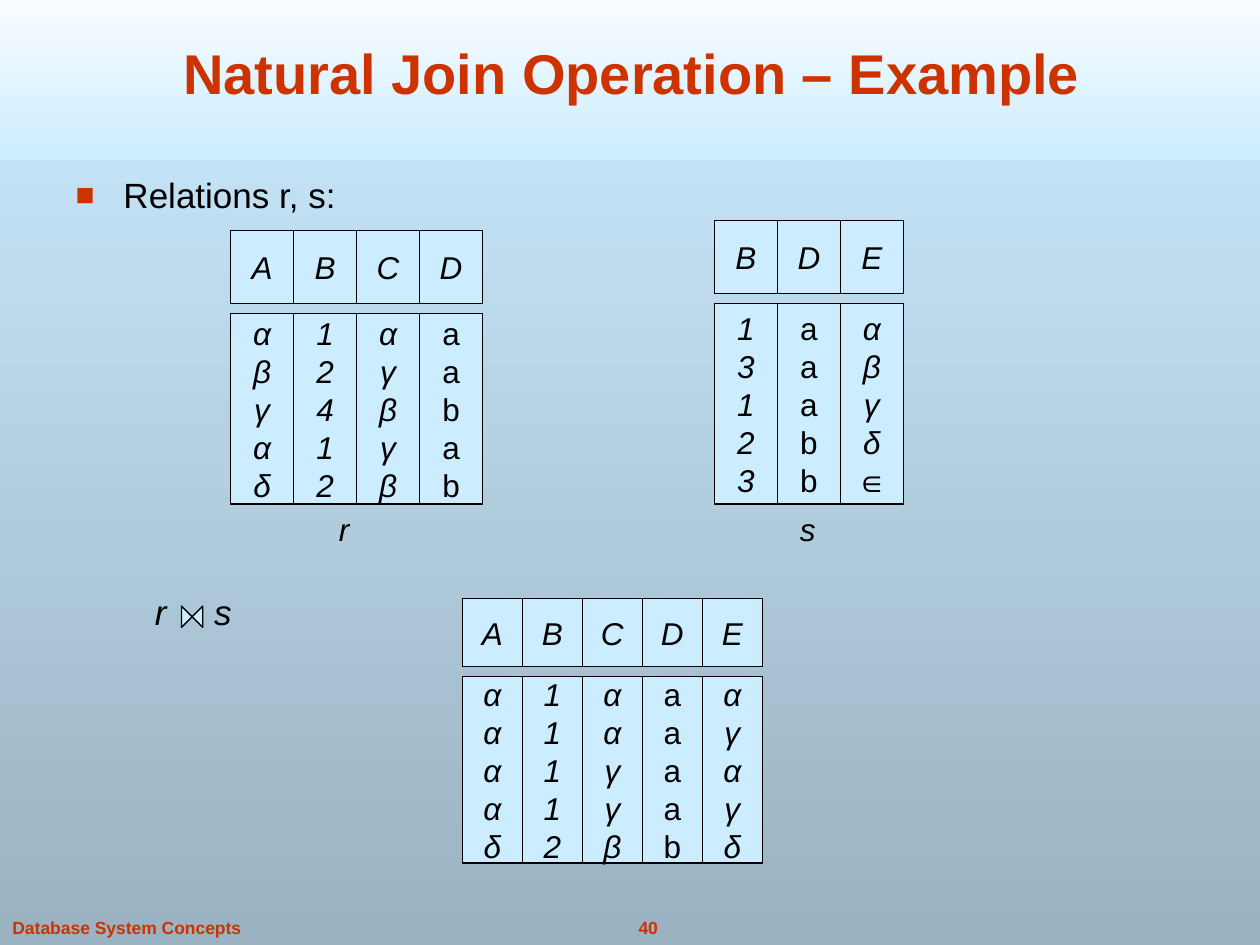
from lxml import etree
from pptx import Presentation
from pptx.dml.color import RGBColor
from pptx.enum.shapes import MSO_SHAPE as Shape
from pptx.enum.text import MSO_ANCHOR as Anchor, MSO_AUTO_SIZE as AutoSize, PP_ALIGN as Align
from pptx.oxml.ns import qn
from pptx.util import Inches, Pt

FONT = "Arial"
BLACK, RED, WHITE = "000000", "CC3300", "FFFFFF"
PALE_BLUE, SLATE = "CCECFF", "9AB2C1"

RELATION_R = {"A": "αβγαδ", "B": "12412", "C": "αγβγβ", "D": "aabab"}
RELATION_S = {"B": "13123", "D": "aaabb", "E": "αβγδ∈"}
NATURAL_JOIN = {"A": "ααααδ", "B": "11112", "C": "ααγγβ", "D": "aaaab", "E": "αγαγδ"}


def color(value):
    """Turn a hex string into a colour."""
    return RGBColor.from_string(value)


def fill_gradient(fill, top, bottom):
    """Fill with a vertical gradient from top to bottom."""
    fill.gradient()
    fill.gradient_angle = 270
    for stop, position, value in zip(fill.gradient_stops, (0, 1), (top, bottom)):
        stop.position = position
        stop.color.rgb = color(value)


def place(shape, left, top, width, height):
    """Move and size a shape in inches."""
    shape.left, shape.top = Inches(left), Inches(top)
    shape.width, shape.height = Inches(width), Inches(height)


def write(shape, text, size=18, ink=BLACK, bold=False, italic=False,
          align=Align.CENTER, anchor=Anchor.MIDDLE, wrap=False):
    """Write one formatted paragraph per line of text."""
    frame = shape.text_frame
    frame.auto_size = AutoSize.NONE
    frame.word_wrap = wrap
    frame.vertical_anchor = anchor
    frame.text = text
    for paragraph in frame.paragraphs:
        paragraph.alignment = align
        paragraph.space_before = Pt(0)
        for run in paragraph.runs:
            font = run.font
            font.name, font.size = FONT, Pt(size)
            font.bold, font.italic = bold, italic
            font.color.rgb = color(ink)


def add_text(slide, text, left, top, width, height, **style):
    """Add a text box and return it."""
    box = slide.shapes.add_textbox(
        Inches(left), Inches(top), Inches(width), Inches(height))
    write(box, text, **style)
    return box


def add_box(slide, left, top, width, height, kind=Shape.RECTANGLE):
    """Add a pale blue outlined shape without a shadow."""
    shape = slide.shapes.add_shape(
        kind, Inches(left), Inches(top), Inches(width), Inches(height))
    shape.shadow.inherit = False
    shape.fill.solid()
    shape.fill.fore_color.rgb = color(PALE_BLUE)
    shape.line.color.rgb = color(BLACK)
    shape.line.width = Pt(0.75)
    return shape


def add_bullet(paragraph):
    """Give a paragraph a hanging red square bullet."""
    properties = paragraph._p.get_or_add_pPr()
    properties.set("marL", str(Inches(0.38)))
    properties.set("indent", str(-Inches(0.38)))
    bullet_color = etree.SubElement(properties, qn("a:buClr"))
    etree.SubElement(bullet_color, qn("a:srgbClr"), val=RED)
    etree.SubElement(properties, qn("a:buSzPct"), val="90000")
    etree.SubElement(properties, qn("a:buFont"), typeface=FONT)
    etree.SubElement(properties, qn("a:buChar"), char="■")


def add_tab_stop(paragraph, position):
    """Add a left tab stop at a distance in inches."""
    tabs = etree.SubElement(paragraph._p.get_or_add_pPr(), qn("a:tabLst"))
    etree.SubElement(tabs, qn("a:tab"), pos=str(Inches(position)), algn="l")


def add_header(slide, left, top, width, height):
    """Draw the title band and place the title on it."""
    band = add_box(slide, left, top, width, height)
    fill_gradient(band.fill, WHITE, PALE_BLUE)
    band.line.fill.background()
    tree = slide.shapes._spTree
    tree.remove(band._element)
    tree.insert(2, band._element)
    title = slide.shapes.title
    place(title, left + 0.6, top + 0.39, 8.83, 0.67)
    write(title, "Natural Join Operation – Example", size=32, ink=RED,
          bold=True, anchor=Anchor.BOTTOM, wrap=True)


def add_body(slide, left, top, width, height):
    """Place the bulleted line."""
    body = slide.placeholders[1]
    place(body, left, top, width, height)
    write(body, "Relations r, s:", size=20, align=Align.LEFT,
          anchor=Anchor.TOP, wrap=True)
    add_bullet(body.text_frame.paragraphs[0])


def add_relation(slide, columns, left, top, width, height, header, gap=0.08):
    """Draw a relation as header cells above separate value columns."""
    step = width / len(columns)
    values_top = top + header + gap
    for index, (name, values) in enumerate(columns.items()):
        x = left + index * step
        write(add_box(slide, x, top, step, header), name, italic=True)
        column = add_box(slide, x, values_top, step, top + height - values_top)
        write(column, "\n".join(values), italic=not set(values) <= set("ab"))


def add_join_formula(slide, left, top, width, height):
    """Write the join expression with its bow-tie operator."""
    formula = add_text(slide, "r\ts", left, top, width, height, size=20,
                       italic=True, align=Align.LEFT, anchor=Anchor.TOP, wrap=True)
    add_tab_stop(formula.text_frame.paragraphs[0], 0.47)
    operator = add_box(slide, left + 0.31, top + 0.17, 0.17, 0.17,
                       Shape.FLOWCHART_COLLATE)
    operator.rotation = 270


def add_footer(slide, left, top, height):
    """Write the course name and the slide number."""
    style = dict(size=10, ink=RED, bold=True, anchor=Anchor.TOP)
    add_text(slide, "Database System Concepts", left, top, 2.01, height,
             align=Align.LEFT, **style)
    add_text(slide, "40", left + 4.71, top, 0.87, height, **style)


def main():
    """Build and save the slide."""
    presentation = Presentation()
    presentation.slide_width, presentation.slide_height = Inches(10), Inches(7.5)
    slide = presentation.slides.add_slide(presentation.slide_layouts[1])
    fill_gradient(slide.background.fill, PALE_BLUE, SLATE)
    add_header(slide, 0, -0.17, 10, 1.44)
    add_body(slide, 0.5, 1.33, 7.69, 0.45)
    add_relation(slide, RELATION_R, 1.83, 1.83, 2, 2.17, header=0.58)
    add_text(slide, "r", 2.59, 4, 0.28, 0.4, italic=True)
    add_relation(slide, RELATION_S, 5.67, 1.75, 1.5, 2.25, header=0.58)
    add_text(slide, "s", 6.25, 4, 0.32, 0.4, italic=True)
    add_join_formula(slide, 1.13, 4.64, 7.69, 0.45)
    add_relation(slide, NATURAL_JOIN, 3.67, 4.75, 2.38, 2.1, header=0.54)
    add_footer(slide, 0, 7.23, 0.27)
    presentation.save("out.pptx")


if __name__ == "__main__":
    main()
